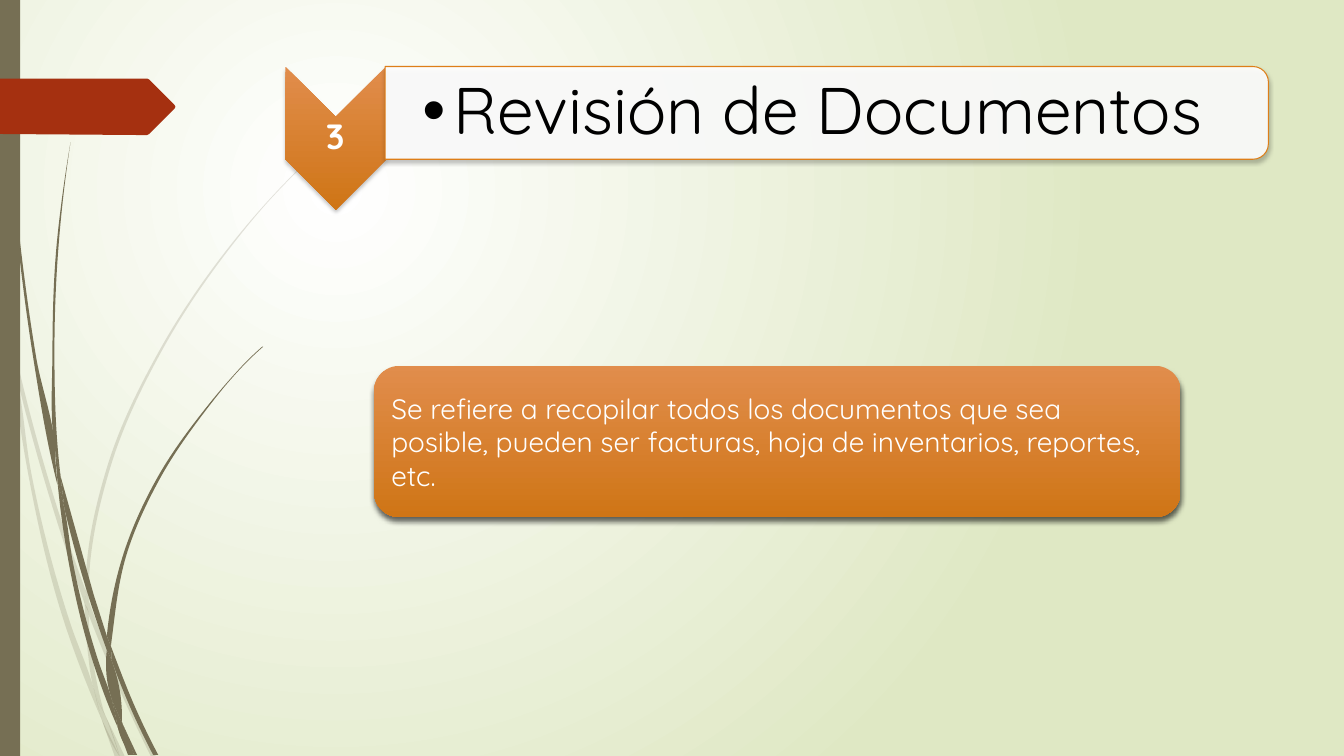
from dataclasses import dataclass
from math import dist

from lxml import etree
from pptx import Presentation
from pptx.dml.color import RGBColor
from pptx.enum.shapes import MSO_SHAPE
from pptx.enum.text import MSO_ANCHOR, MSO_AUTO_SIZE, PP_ALIGN
from pptx.oxml.ns import qn
from pptx.util import Pt

PX = 9144  # EMU per px, 100 px to the inch
TITLE_ONLY = 5
RECTANGLE, ROUNDED = MSO_SHAPE.RECTANGLE, MSO_SHAPE.ROUNDED_RECTANGLE
CHEVRON, ROUNDED_TOP = MSO_SHAPE.CHEVRON, MSO_SHAPE.ROUND_2_SAME_RECTANGLE
MIDDLE, NO_FIT = MSO_ANCHOR.MIDDLE, MSO_AUTO_SIZE.NONE
LEFT, CENTER = PP_ALIGN.LEFT, PP_ALIGN.CENTER


@dataclass(frozen=True)
class Theme:
    font: str = "Quicksand"
    bullet_font: str = "Arial"
    white: str = "FFFFFF"
    black: str = "000000"
    pale_green: str = "DFE8C4"
    olive: str = "766F54"
    red: str = "A53010"
    orange_line: str = "DE7E18"
    orange: tuple = ("E18D4C", "CF7516")
    title_size: int = 47
    number_size: int = 25
    body_size: int = 20


THEME = Theme()

# Each blade is a list of edges; an edge is a smooth run of points in px
FAINT_BLADES = [
    [[(11, 350), (9, 322), (0, 282)], [(0, 299), (10, 344), (11, 350)]],
    [[(17, 376), (58, 522), (84, 599)], [(85, 586), (62, 520), (14, 345)]],
    [[(88, 610), (123, 694), (150, 751)], [(155, 751), (127, 692), (92, 607), (88, 596)]],
    [[(105, 711), (119, 751)], [(124, 751), (105, 711)]],
    [[(11, 350), (28, 470), (65, 621), (92, 693), (101, 714)],
     [(99, 707), (93, 683), (70, 619), (31, 469), (17, 376), (11, 350)]],
    [[(84, 599), (87, 646), (93, 683), (96, 692), (105, 711)],
     [(103, 706), (91, 646), (88, 610), (88, 608), (84, 599)]],
    [[(88, 596), (88, 584), (110, 462), (160, 349), (229, 245), (268, 198), (290, 175), (312, 154)],
     [(312, 153), (289, 175), (268, 197), (228, 244), (158, 348), (107, 461), (85, 584), (85, 586)]],
    [[(101, 714), (114, 751)], [(119, 751), (101, 714)]],
    [[(88, 610), (88, 596)], [(85, 586), (84, 599)], [(88, 608)]],
    [[(93, 683), (99, 707), (101, 714), (119, 751)], [(119, 751), (105, 711), (96, 692), (93, 683)]],
]
DARK_BLADES = [
    [[(3, 0), (4, 48), (7, 110), (17, 233), (33, 355), (56, 477), (57, 481)],
     [(55, 457), (55, 453), (36, 355), (19, 232), (8, 109), (5, 48), (4, 0)]],
    [[(64, 505), (88, 592), (106, 645)], [(106, 633), (106, 631)], [(93, 590), (60, 472)]],
    [[(111, 656), (132, 708), (152, 749)], [(157, 749), (136, 706), (113, 649), (110, 641)]],
    [[(57, 477), (68, 557), (93, 659), (111, 708), (117, 722)],
     [(116, 717), (110, 691), (98, 657), (72, 556), (64, 505), (57, 477)]],
    [[(60, 472), (58, 453), (54, 349), (58, 245), (63, 193), (70, 141)],
     [(70, 141), (62, 193), (56, 245), (52, 349), (55, 449), (60, 472)]],
    [[(122, 719), (133, 749)], [(136, 749), (122, 719)]],
    [[(57, 477), (64, 505)], [(60, 472), (55, 449)], [(55, 453), (57, 477)]],
    [[(110, 641), (111, 633), (125, 552), (158, 476), (205, 406), (231, 374), (245, 359), (261, 344)],
     [(260, 344), (245, 358), (231, 373), (204, 405), (156, 474), (122, 551), (106, 631)]],
    [[(117, 722), (127, 749)], [(131, 749), (117, 722)]],
    [[(106, 645), (110, 691), (116, 706), (122, 719)], [(121, 716), (111, 656), (109, 651), (106, 645)]],
    [[(106, 645), (109, 651), (111, 656)], [(110, 641), (106, 631)], [(106, 633)]],
    [[(110, 691), (116, 717), (117, 722), (130, 749)], [(133, 749), (122, 719), (116, 706), (110, 691)]],
]
TAG_CORNERS = [(0, 78), (146, 78), (148, 79), (173, 104), (174, 106),
               (173, 108), (148, 133), (146, 134), (136, 134), (0, 133)]


def rgb(color):
    return RGBColor.from_string(color)


def add_xml(parent, tag, **attributes):
    return etree.SubElement(parent, qn(tag), {key: str(value) for key, value in attributes.items()})


def paint(fill, color):
    """Fill with one colour, or with a pair as a gradient from top to bottom."""
    if isinstance(color, tuple):
        fill.gradient()
        fill.gradient_angle = 270
        for stop, shade in zip(fill.gradient_stops, color):
            stop.color.rgb = rgb(shade)
    else:
        fill.solid()
        fill.fore_color.rgb = rgb(color)


def style(shape, color, opacity=100, line=None, shadow=None):
    shape.shadow.inherit = False
    paint(shape.fill, color)
    properties = shape.element.spPr
    for gradient in properties.findall(qn("a:gradFill")):
        gradient.set("rotWithShape", "0")
    if opacity < 100:
        add_xml(properties.find(".//" + qn("a:srgbClr")), "a:alpha", val=opacity * 1000)
    if line:
        shape.line.color.rgb = rgb(line)
        shape.line.width = Pt(0.75)
    else:
        shape.line.fill.background()
    if shadow:
        strength, blur, distance = shadow
        outer = add_xml(properties.find(qn("a:effectLst")), "a:outerShdw", blurRad=Pt(blur),
                        dist=Pt(distance), dir=5400000, algn="ctr", rotWithShape=0)
        shade = add_xml(outer, "a:srgbClr", val=THEME.black)
        add_xml(shade, "a:alpha", val=strength * 1000)


def add_box(page, kind, area, color, rotation=0, **format):
    box = page.shapes.add_shape(kind, *(value * PX for value in area))
    box.rotation = rotation
    style(box, color, **format)
    return box


def handles(edge):
    """Offsets of the two curve handles for each step along an edge."""
    spans = [dist(a, b) for a, b in zip(edge, edge[1:])]
    chords = [((b[0] - a[0]) / s, (b[1] - a[1]) / s) for a, b, s in zip(edge, edge[1:], spans)]
    inner = [tuple((u * t + v * s) / (s + t) for u, v in zip(before, after))
             for before, after, s, t in zip(chords, chords[1:], spans, spans[1:])]
    if not inner:
        return [None] * len(chords)
    first = tuple(2 * u - v for u, v in zip(chords[0], inner[0]))
    last = tuple(2 * u - v for u, v in zip(chords[-1], inner[-1]))
    slopes = [first, *inner, last]
    return [[[span * PX / 3 * value for value in slope] for slope in pair]
            for span, pair in zip(spans, zip(slopes, slopes[1:]))]


def add_outline(shapes, edges, color, opacity=100):
    points = [(x * PX, y * PX) for edge in edges for x, y in edge]
    builder = shapes.build_freeform(*points[0])
    builder.add_line_segments(points[1:], close=True)
    shape = builder.convert_to_shape()
    style(shape, color, opacity=opacity)
    # Bend the steps inside an edge; steps between edges stay straight
    bends = [bend for edge in edges for bend in [None, *handles(edge)]][1:]
    spots = list(shape.element.iter(qn("a:pt")))
    for start, end, bend in zip(spots, spots[1:], bends):
        if bend:
            line = end.getparent()
            curve = etree.Element(qn("a:cubicBezTo"))
            for spot, sign, offset in zip((start, end), (1, -1), bend):
                add_xml(curve, "a:pt", x=round(int(spot.get("x")) + sign * offset[0]),
                        y=round(int(spot.get("y")) + sign * offset[1]))
            line.getparent().replace(line, curve)
            curve.append(end)


def add_blades(page, blades, opacity):
    group = page.shapes.add_group_shape()
    for edges in blades:
        add_outline(group.shapes, edges, THEME.olive, opacity)


def write(box, text, size, color, bold=False, align=LEFT, spacing=1, insets=(10, 5, 10, 5)):
    frame = box.text_frame
    frame.word_wrap = True
    frame.auto_size = NO_FIT
    frame.vertical_anchor = MIDDLE
    frame.margin_left, frame.margin_top, frame.margin_right, frame.margin_bottom = (
        inset * PX for inset in insets)
    para = frame.paragraphs[0]
    para.alignment, para.line_spacing = align, spacing
    span = para.add_run()
    span.text = text
    span.font.name, span.font.size, span.font.bold = THEME.font, Pt(size), bold
    span.font.color.rgb = rgb(color)
    return para


def set_background(page):
    paint(page.background.fill, (THEME.white, THEME.pale_green))
    gradient = page.element.find(".//" + qn("a:gradFill"))
    gradient.remove(gradient.find(qn("a:lin")))
    circle = add_xml(gradient, "a:path", path="circle")
    add_xml(circle, "a:fillToRect", l=50000, t=50000, r=100000, b=100000)


def place_title(page, text):
    title = page.shapes.title
    title.element.getparent().append(title.element)  # in front of the white bar
    title.left, title.top, title.width, title.height = (value * PX for value in (382, 71, 871, 83))
    para = write(title, text, THEME.title_size, THEME.black, spacing=0.9, insets=(37, 3, 3, 3))
    properties = para._p.get_or_add_pPr()
    properties.set("marL", str(31 * PX))
    properties.set("indent", str(-31 * PX))
    add_xml(properties, "a:buFont", typeface=THEME.bullet_font)
    add_xml(properties, "a:buChar", char="•")


def main():
    deck = Presentation()
    deck.slide_width, deck.slide_height = 1333 * PX, 750 * PX
    page = deck.slides.add_slide(deck.slide_layouts[TITLE_ONLY])
    # Backdrop: grass blades, side band and red tag
    set_background(page)
    add_blades(page, FAINT_BLADES, 20)
    add_blades(page, DARK_BLADES, 100)
    add_box(page, RECTANGLE, (0, 0, 20, 750), THEME.olive)
    add_outline(page.shapes, [[corner] for corner in TAG_CORNERS], THEME.red)
    # Numbered heading
    soft_shadow = (25, 3, 2)
    add_box(page, CHEVRON, (262, 87, 142, 100), THEME.orange, rotation=90, shadow=soft_shadow)
    number = page.shapes.add_textbox(*(value * PX for value in (283, 116, 99, 43)))
    write(number, "3", THEME.number_size, THEME.white, bold=True, align=CENTER,
          spacing=0.9, insets=(2, 2, 2, 2))
    add_box(page, ROUNDED_TOP, (774, -326, 92, 876), THEME.white, rotation=90,
            opacity=90, line=THEME.orange_line, shadow=soft_shadow)
    place_title(page, "Revisión de Documentos")
    # Description
    description = add_box(page, ROUNDED, (371, 363, 800, 150), THEME.orange, shadow=(60, 4, 3))
    write(description, "Se refiere a recopilar todos los documentos que sea posible, pueden ser "
          "facturas, hoja de inventarios, reportes, etc.", THEME.body_size, THEME.white)
    deck.save("out.pptx")


if __name__ == "__main__":
    main()
